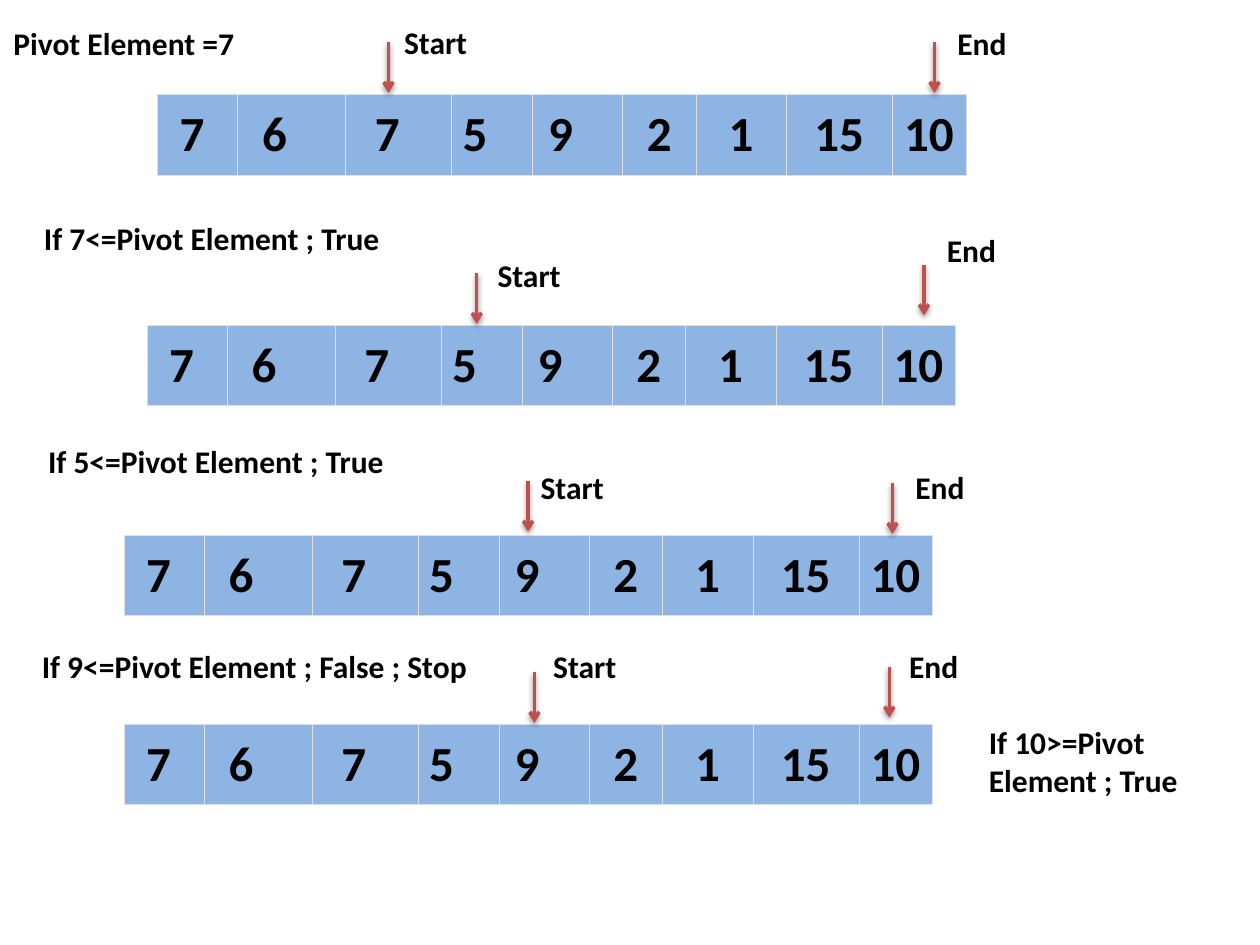
from lxml.etree import SubElement
from pptx import Presentation
from pptx.dml.color import RGBColor
from pptx.enum.shapes import MSO_CONNECTOR
from pptx.enum.text import MSO_ANCHOR, MSO_AUTO_SIZE, PP_ALIGN
from pptx.oxml import parse_xml
from pptx.oxml.ns import nsdecls, qn
from pptx.util import Inches, Pt

BLACK = RGBColor(0x00, 0x00, 0x00)
CELL_BLUE = RGBColor(0x8E, 0xB4, 0xE3)
BORDER_GREY = RGBColor(0xDF, 0xDF, 0xDF)
ARROW_RED = RGBColor(0xC0, 0x50, 0x4D)

# The slide is a grid of 120 columns by 90 rows.
SLIDE_WIDTH, SLIDE_HEIGHT = Inches(10), Inches(7.5)
GRID_UNIT = SLIDE_WIDTH // 120

VALUES = ["7", "6", "7", "5", "9", "2", "1", "15", "10"]
CELL_COLUMNS = [7.6, 10.3, 10.1, 7.7, 8.6, 7, 8.6, 10.1, 7]
# Extra right margin that moves a value left of its cell's centre.
RIGHT_INDENTS = [1, 3.2, 2.1, 3.2, 3.2, 0, 0, 0, 0]
CELL_MARGIN, FIRST_MARGIN = 1, 0.5
ARRAY_ROWS = 7.6
ARROW_ROWS = 4.85
LABEL_ROWS = 4.8
LABEL_COLUMNS = {"Start": 8.5, "End": 7.1}

# Each array is placed on the slide; its caption and pointers start from its corner.
# Pointers: name, arrow start, label corner.
STEPS = [
    {"array": (15, 9),
     "caption": ("Pivot Element =7", -14.9, -7.3, 23.6),
     "pointers": [("Start", (22, -5), (22.3, -7.4)),
                  ("End", (74, -5), (75, -7.3))]},
    {"array": (14, 31),
     "caption": ("If 7<=Pivot Element ; True", -11, -10.7, 35.4),
     "pointers": [("Start", (31.4, -5), (32.2, -7.2)),
                  ("End", (74, -5.8), (75, -9.6))]},
    {"array": (11.8, 51),
     "caption": ("If 5<=Pivot Element ; True", -8.4, -9.5, 35.4),
     "pointers": [("Start", (38.5, -5.2), (38.5, -7)),
                  ("End", (73.2, -5), (74.2, -7))]},
    {"array": (11.8, 69),
     "caption": ("If 9<=Pivot Element ; False ; Stop", -9, -8, 44.8),
     "pointers": [("Start", (39.1, -5), (39.7, -8)),
                  ("End", (72.9, -5.5), (73.6, -8))]},
]


def grid(*cells):
    return [round(cell * GRID_UNIT) for cell in cells]


def write(frame, text, size=18, align=PP_ALIGN.LEFT):
    paragraph = frame.paragraphs[0]
    paragraph.alignment = align
    run = paragraph.add_run()
    run.text = text
    run.font.name = "Calibri"
    run.font.size = Pt(size)
    run.font.bold = True
    run.font.color.rgb = BLACK


def add_label(slide, text, left, top, width, height=LABEL_ROWS, wrap=False):
    frame = slide.shapes.add_textbox(*grid(left, top, width, height)).text_frame
    frame.word_wrap = wrap
    frame.auto_size = MSO_AUTO_SIZE.SHAPE_TO_FIT_TEXT
    write(frame, text)


def add_borders(cell):
    properties = cell._tc.get_or_add_tcPr()
    for position, side in enumerate(("lnL", "lnR", "lnT", "lnB")):
        properties.insert(position, parse_xml(
            f'<a:{side} {nsdecls("a")} w="{Pt(0.18)}"><a:solidFill>'
            f'<a:srgbClr val="{BORDER_GREY}"/></a:solidFill></a:{side}>'))


def add_array(slide, left, top):
    box = grid(left, top, sum(CELL_COLUMNS), ARRAY_ROWS)
    table = slide.shapes.add_table(1, len(VALUES), *box).table
    table.first_row = table.horz_banding = False
    for index, (value, width, indent) in enumerate(
            zip(VALUES, CELL_COLUMNS, RIGHT_INDENTS)):
        table.columns[index].width = grid(width)[0]
        cell = table.cell(0, index)
        side = CELL_MARGIN if index else FIRST_MARGIN
        cell.margin_left, cell.margin_right = grid(side, side + indent)
        cell.margin_top, cell.margin_bottom = grid(CELL_MARGIN, CELL_MARGIN)
        cell.vertical_anchor = MSO_ANCHOR.MIDDLE
        cell.fill.solid()
        cell.fill.fore_color.rgb = CELL_BLUE
        add_borders(cell)
        write(cell.text_frame, value, size=28, align=PP_ALIGN.CENTER)


def add_down_arrow(slide, x, top):
    arrow = slide.shapes.add_connector(
        MSO_CONNECTOR.STRAIGHT, *grid(x, top, x, top + ARROW_ROWS))
    arrow.line.color.rgb = ARROW_RED
    arrow.line.width = Pt(2)
    SubElement(arrow.line._get_or_add_ln(), qn("a:tailEnd"), type="arrow")
    arrow._element.spPr.append(parse_xml(
        f'<a:effectLst {nsdecls("a")}>'
        f'<a:outerShdw blurRad="{Pt(3.1)}" dist="{Pt(1.6)}" dir="5400000" rotWithShape="0">'
        '<a:srgbClr val="000000"><a:alpha val="38000"/></a:srgbClr>'
        '</a:outerShdw></a:effectLst>'))


def add_step(slide, array, caption, pointers):
    """Place one array with its caption and its start and end pointers."""
    left, top = array
    add_array(slide, left, top)
    text, caption_x, caption_y, caption_width = caption
    add_label(slide, text, left + caption_x, top + caption_y, caption_width)
    for name, (arrow_x, arrow_y), (label_x, label_y) in pointers:
        add_down_arrow(slide, left + arrow_x, top + arrow_y)
        add_label(slide, name, left + label_x, top + label_y, LABEL_COLUMNS[name])


def main():
    presentation = Presentation()
    presentation.slide_width = SLIDE_WIDTH
    presentation.slide_height = SLIDE_HEIGHT
    slide = presentation.slides.add_slide(presentation.slide_layouts[6])
    for step in STEPS:
        add_step(slide, **step)
    add_label(slide, "If 10>=Pivot Element ; True", 93, 68.3, 27.6, height=8.5, wrap=True)
    presentation.save("out.pptx")


if __name__ == "__main__":
    main()
